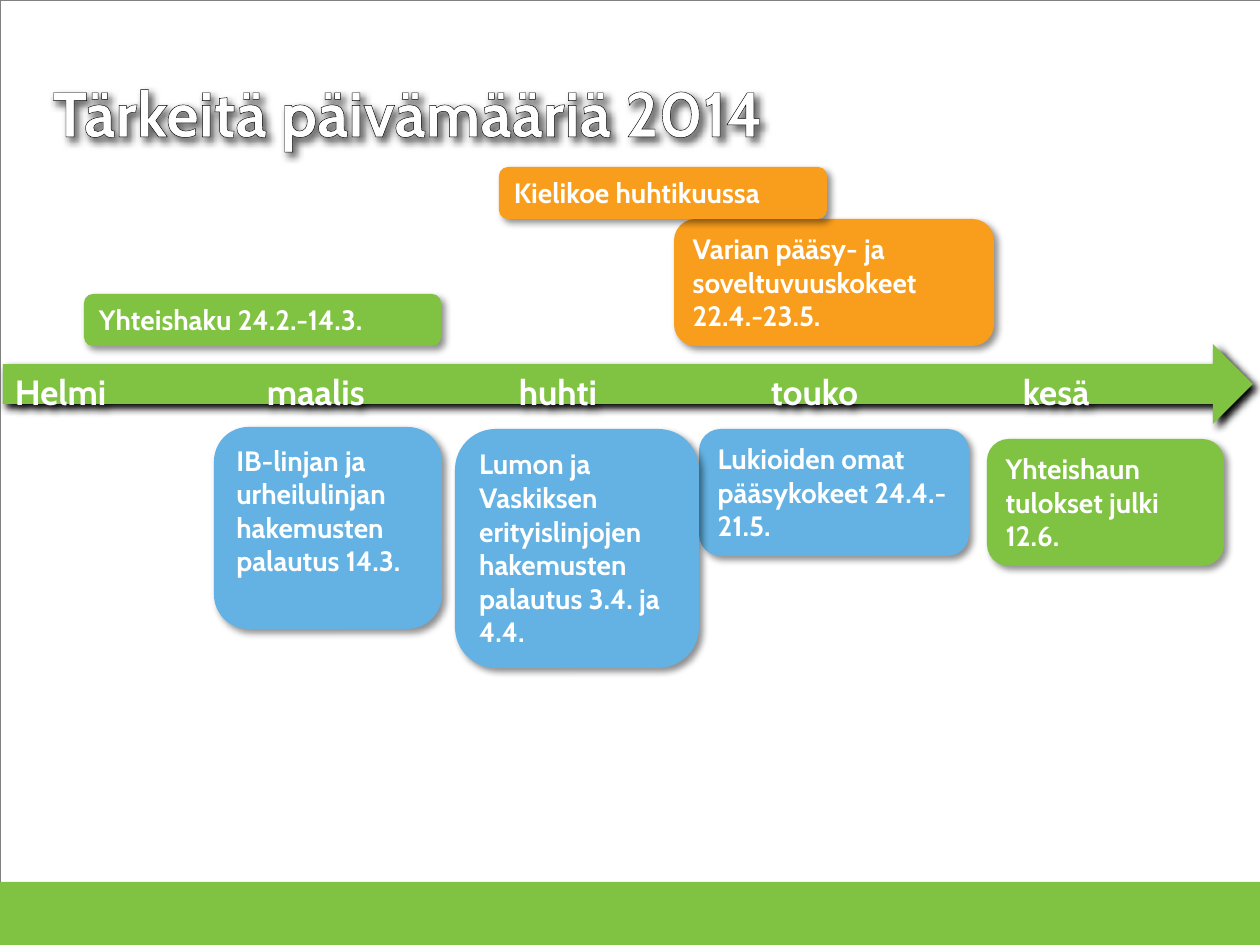
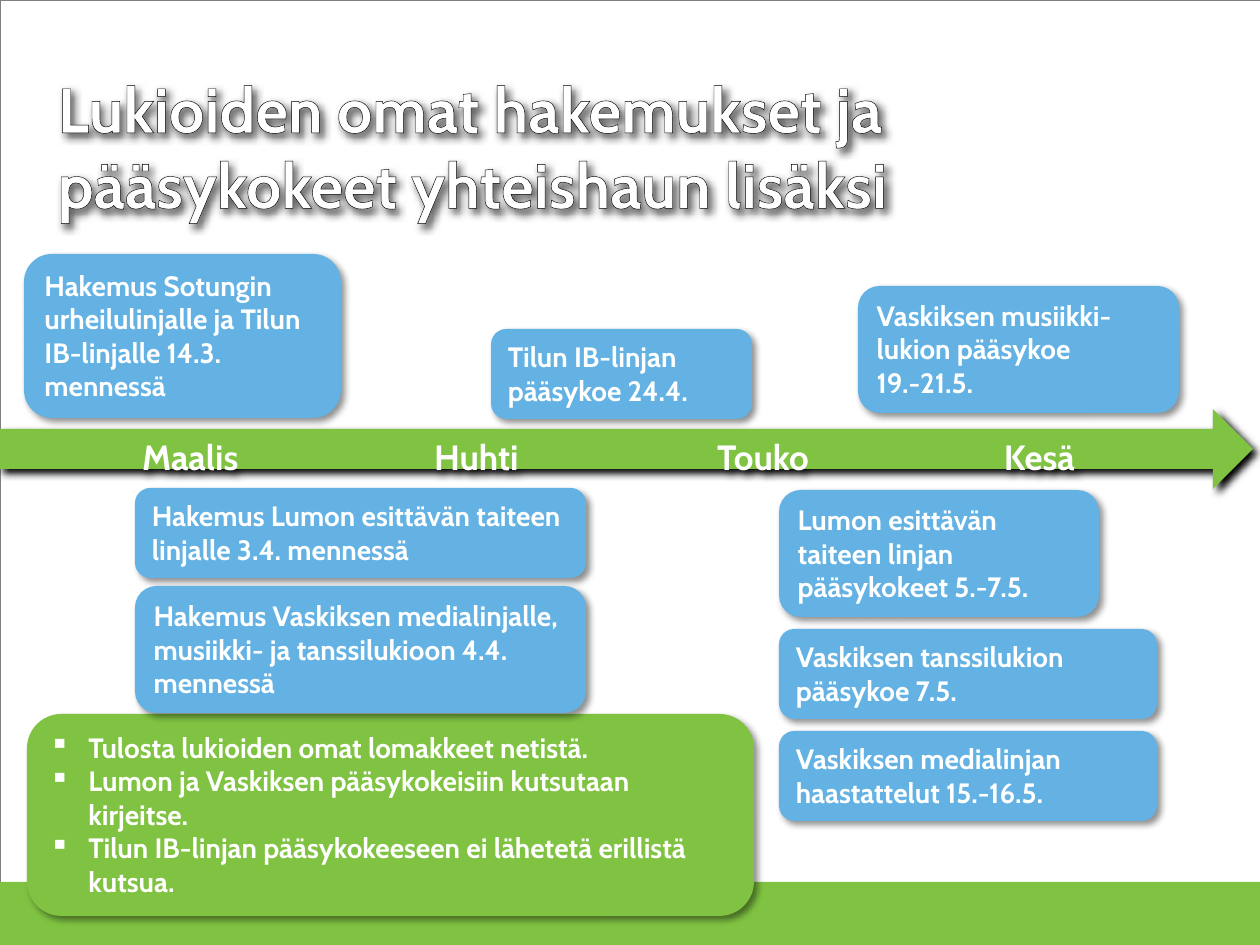
from pptx import Presentation
from pptx.dml.color import RGBColor
from pptx.enum.shapes import MSO_SHAPE as SHAPE
from pptx.enum.text import MSO_ANCHOR as ANCHOR, MSO_AUTO_SIZE as AUTO, PP_ALIGN as ALIGN
from pptx.oxml.ns import qn
from pptx.util import Emu, Pt
from lxml.etree import SubElement

# Shared look
FONT = "Cabin"
WHITE, BLACK, GRAY = "FFFFFF", "000000", "808080"
GREEN, BLUE, ORANGE = "80C342", "63B2E3", "F99D1C"
SLIDE_W, SLIDE_H, BAND_H = 1260, 945, 63
ARROW_H, INDENT = 80, 39


def px(n):
    return Emu(round(n * 914400 / 126))


def rgb(color):
    return RGBColor.from_string(color)


def place(s, x, y, w, h):
    s.left, s.top, s.width, s.height = px(x), px(y), px(w), px(h)


def solid(parent, color):
    fill = SubElement(parent, qn("a:solidFill"))
    return SubElement(fill, qn("a:srgbClr"), val=color)


def add_shadow(s, opacity):
    s.shadow.inherit = False
    effects = s._element.spPr.find(qn("a:effectLst"))
    outer = SubElement(effects, qn("a:outerShdw"), blurRad=str(Pt(4)), dist=str(Pt(3)),
                       dir="2700000", algn="tl", rotWithShape="0")
    color = SubElement(outer, qn("a:srgbClr"), val=BLACK)
    SubElement(color, qn("a:alpha"), val=str(opacity * 1000))


def write(s, text, size, anchor=ANCHOR.TOP):
    tf = s.text_frame
    tf.text = text
    tf.word_wrap = True
    tf.auto_size = AUTO.NONE
    tf.vertical_anchor = anchor
    for p in tf.paragraphs:
        p.alignment = ALIGN.LEFT
        for r in p.runs:
            r.font.name, r.font.size, r.font.bold = FONT, Pt(size), True
            r.font.color.rgb = rgb(WHITE)
    return tf


def add_block(slide, kind, x, y, w, h, color):
    s = slide.shapes.add_shape(kind, px(x), px(y), px(w), px(h))
    s.shadow.inherit = False
    s.fill.solid()
    s.fill.fore_color.rgb = rgb(color)
    s.line.fill.background()
    return s


def add_frame(slide):
    s = add_block(slide, SHAPE.RECTANGLE, 0, 0, SLIDE_W, SLIDE_H, WHITE)
    s.fill.background()
    s.line.color.rgb = rgb(GRAY)
    s.line.width = Pt(0.25)


def add_timeline(slide, x, y, w, months):
    """Arrow with month names, each on its own tab stop."""
    s = add_block(slide, SHAPE.RIGHT_ARROW, x, y, w, ARROW_H, GREEN)
    add_shadow(s, 100)
    tf = write(s, "".join("\t" + name for name, _ in months), 20)
    tf.margin_left = 0
    tabs = SubElement(tf.paragraphs[0]._p.get_or_add_pPr(), qn("a:tabLst"))
    for _, month_x in months:
        SubElement(tabs, qn("a:tab"), pos=str(px(month_x - x)), algn="l")


def set_title(slide, text, x, y, w, h, spacing):
    s = slide.shapes.title
    place(s, x, y, w, h)
    add_shadow(s, 60)
    p = write(s, text, 36, ANCHOR.MIDDLE).paragraphs[0]
    p.line_spacing = spacing
    for r in p.runs:
        outline = r.font._element.makeelement(qn("a:ln"), w=str(Pt(0.25)))
        solid(outline, BLACK)
        r.font._element.insert(0, outline)
    # Keep the title in front of the frame, arrow and band
    slide.shapes._spTree.append(s._element)


def add_callout(slide, text, x, y, w, h, color=BLUE):
    s = add_block(slide, SHAPE.ROUNDED_RECTANGULAR_CALLOUT, x, y, w, h, color)
    for i, value in enumerate((-0.21, 0.5, 0.17)):
        s.adjustments[i] = value
    add_shadow(s, 43)
    return write(s, text, 16)


def add_bullets(tf):
    for p in tf.paragraphs:
        pPr = p._p.get_or_add_pPr()
        pPr.set("marL", str(px(INDENT)))
        pPr.set("indent", str(-px(INDENT)))
        SubElement(pPr, qn("a:buChar"), char="▪")


def add_slide(prs, title, title_box, spacing, arrow_box, months):
    slide = prs.slides.add_slide(prs.slide_layouts[5])
    add_frame(slide)
    add_timeline(slide, *arrow_box, months)
    add_block(slide, SHAPE.RECTANGLE, 0, SLIDE_H - BAND_H, SLIDE_W, BAND_H, GREEN)
    set_title(slide, title, *title_box, spacing)
    return slide


def add_dates_slide(prs):
    names = ("Helmi", "maalis", "huhti", "touko", "kesä")
    months = [(name, 15 + 252 * i) for i, name in enumerate(names)]
    slide = add_slide(prs, "Tärkeitä päivämääriä 2014", (40, 37, 973, 159), 0.9,
                      (3, 344, 1250), months)
    for callout in (
        ("Yhteishaku 24.2.-14.3.", 84, 294, 357, 52, GREEN),
        ("IB-linjan ja urheilulinjan hakemusten palautus 14.3.", 214, 427, 228, 202),
        ("Lukioiden omat pääsykokeet 24.4.-21.5.", 699, 429, 270, 127),
        ("Varian pääsy- ja soveltuvuuskokeet 22.4.-23.5.", 674, 219, 320, 127, ORANGE),
        ("Kielikoe huhtikuussa", 499, 167, 328, 52, ORANGE),
        ("Yhteishaun tulokset julki 12.6.", 987, 439, 237, 127, GREEN),
        ("Lumon ja Vaskiksen erityislinjojen hakemusten palautus 3.4. ja 4.4.",
         455, 429, 244, 239),
    ):
        add_callout(slide, *callout)


def add_exams_slide(prs):
    months = [("Maalis", 142), ("Huhti", 434), ("Touko", 717), ("Kesä", 1004)]
    slide = add_slide(prs, "Lukioiden omat hakemukset ja pääsykokeet yhteishaun lisäksi",
                      (45, 66, 1081, 159), 1.0, (0, 409, 1253), months)
    for callout in (
        ("Hakemus Sotungin urheilulinjalle ja Tilun IB-linjalle 14.3. mennessä",
         24, 254, 317, 164),
        ("Hakemus Lumon esittävän taiteen linjalle 3.4. mennessä", 135, 488, 451, 90),
        ("Tilun IB-linjan pääsykoe 24.4.", 491, 329, 261, 90),
        ("Vaskiksen musiikki-\nlukion pääsykoe\n19.-21.5.", 858, 286, 321, 127),
        ("Lumon esittävän taiteen linjan pääsykokeet 5.-7.5.", 779, 490, 320, 127),
        ("Vaskiksen medialinjan haastattelut 15.-16.5.", 779, 731, 378, 90),
        ("Vaskiksen tanssilukion pääsykoe 7.5.", 779, 629, 378, 90),
    ):
        add_callout(slide, *callout)

    # Instructions
    notes = ("Tulosta lukioiden omat lomakkeet netistä.",
             "Lumon ja Vaskiksen pääsykokeisiin kutsutaan kirjeitse.",
             "Tilun IB-linjan pääsykokeeseen ei lähetetä erillistä kutsua.")
    add_bullets(add_callout(slide, "\n".join(notes), 27, 714, 727, 202, GREEN))
    add_callout(slide, "Hakemus Vaskiksen medialinjalle, musiikki- ja tanssilukioon 4.4. mennessä",
                135, 586, 451, 127)


def main():
    prs = Presentation()
    prs.slide_width, prs.slide_height = px(SLIDE_W), px(SLIDE_H)
    add_dates_slide(prs)
    add_exams_slide(prs)
    prs.save("out.pptx")


if __name__ == "__main__":
    main()
